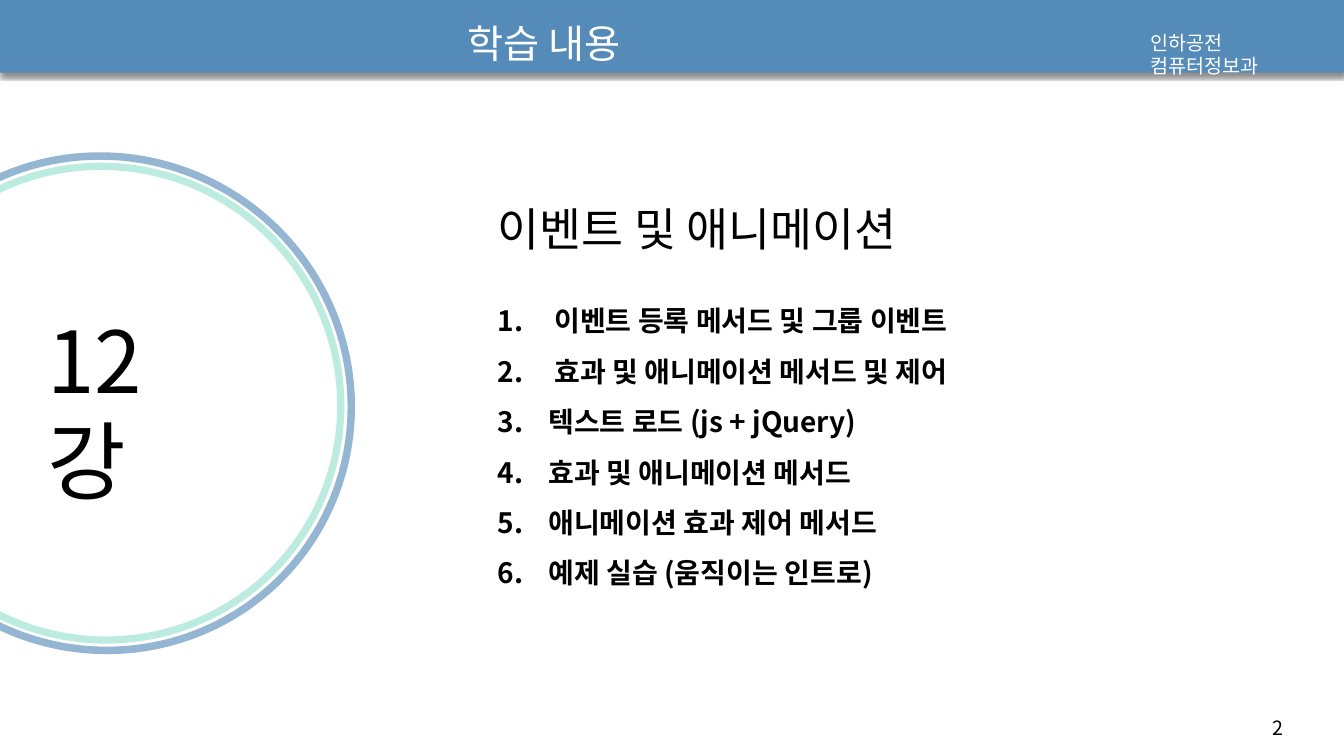
import pptx
import pptx.dml.color
import pptx.enum.shapes
import pptx.enum.text
import pptx.oxml
import pptx.util
from pptx.util import Inches

FONT = "Noto Sans CJK KR"
NAMESPACE = 'xmlns:a="http://schemas.openxmlformats.org/drawingml/2006/main"'


def paint(shape, color):
    shape.shadow.inherit = False
    shape.fill.solid()
    shape.fill.fore_color.rgb = pptx.dml.color.RGBColor.from_string(color)
    shape.line.fill.background()


def add_text(text, left, top, width, height, size, spacing, color="000000",
             bold=False, middle=False, indents=None):
    box = slide.shapes.add_textbox(Inches(left), Inches(top), Inches(width), Inches(height))
    frame = box.text_frame
    frame.word_wrap = True
    anchors = pptx.enum.text.MSO_ANCHOR
    frame.vertical_anchor = anchors.MIDDLE if middle else anchors.TOP
    frame.text = text
    for index, paragraph in enumerate(frame.paragraphs):
        paragraph.line_spacing = pptx.util.Pt(spacing)
        if indents:
            properties = paragraph._p.get_or_add_pPr()
            properties.set("marL", str(Inches(indents[index])))
            properties.set("indent", str(-Inches(indents[index])))
            for bullet in ('<a:buFont %s typeface="+mj-lt"/>', '<a:buAutoNum %s type="arabicPeriod"/>'):
                properties.append(pptx.oxml.parse_xml(bullet % NAMESPACE))
        for run in paragraph.runs:
            run.font.name = FONT
            run.font.size = pptx.util.Pt(size)
            run.font.bold = bold
            run.font.color.rgb = pptx.dml.color.RGBColor.from_string(color)
            run._r.get_or_add_rPr().append(
                pptx.oxml.parse_xml(f'<a:ea {NAMESPACE} typeface="{FONT}"/>'))
    return box


presentation = pptx.Presentation()
presentation.slide_width = Inches(13.33)
presentation.slide_height = Inches(7.5)
slide = presentation.slides.add_slide(presentation.slide_layouts[6])

header_bar = slide.shapes.add_shape(
    pptx.enum.shapes.MSO_SHAPE.RECTANGLE, Inches(0), Inches(-0.01), Inches(13.33), Inches(0.73))
paint(header_bar, "558BB8")
effects = header_bar._element.spPr.find(pptx.oxml.ns.qn("a:effectLst"))
effects.append(pptx.oxml.parse_xml(
    f'<a:outerShdw {NAMESPACE} blurRad="{pptx.util.Pt(3)}" dist="{pptx.util.Pt(2.4)}" '
    'dir="5400000" algn="t" rotWithShape="0">'
    '<a:srgbClr val="000000"><a:alpha val="45000"/></a:srgbClr></a:outerShdw>'))

add_text("2", 12.52, 7.05, 0.71, 0.34, size=14, spacing=17)
add_text("인하공전 컴퓨터정보과", 11.31, 0.25, 1.91, 0.34, size=14, spacing=17, color="FFFFFF")
add_text("학습 내용", 4.54, -0.03, 2.83, 0.63, size=28, spacing=54, color="FFFFFF", middle=True)
lecture_number = add_text("12강", 0.37, 3.04, 2.05, 2.06, size=61, spacing=72, middle=True)
lecture_number.text_frame.margin_right = Inches(0.4)

rings = slide.shapes.add_group_shape()
for left, top, width, height, color in (
    (-1.45, 1.49, 4.95, 5.02, "94B6D2"),
    (-1.35, 1.6, 4.75, 4.8, "BCEBDF"),
):
    ring = rings.shapes.add_shape(
        pptx.enum.shapes.MSO_SHAPE.BLOCK_ARC, Inches(left), Inches(top), Inches(width), Inches(height))
    ring.rotation = 129.9
    for index, value in enumerate((67.65, 208.77, 0.015)):
        ring.adjustments[index] = value
    paint(ring, color)

topics = [
    "이벤트 등록 메서드 및 그룹 이벤트",
    "효과 및 애니메이션 메서드 및 제어",
    "텍스트 로드 (js + jQuery)",
    "효과 및 애니메이션 메서드",
    "애니메이션 효과 제어 메서드",
    "예제 실습 (움직이는 인트로)",
]
add_text("\n".join(topics), 4.84, 2.8, 6.16, 3.07, size=20, spacing=36, bold=True,
         indents=[0.56] * 2 + [0.5] * 4)
add_text("이벤트 및 애니메이션", 4.84, 1.78, 5.19, 0.63, size=32.6, spacing=64, middle=True)

presentation.save("out.pptx")
